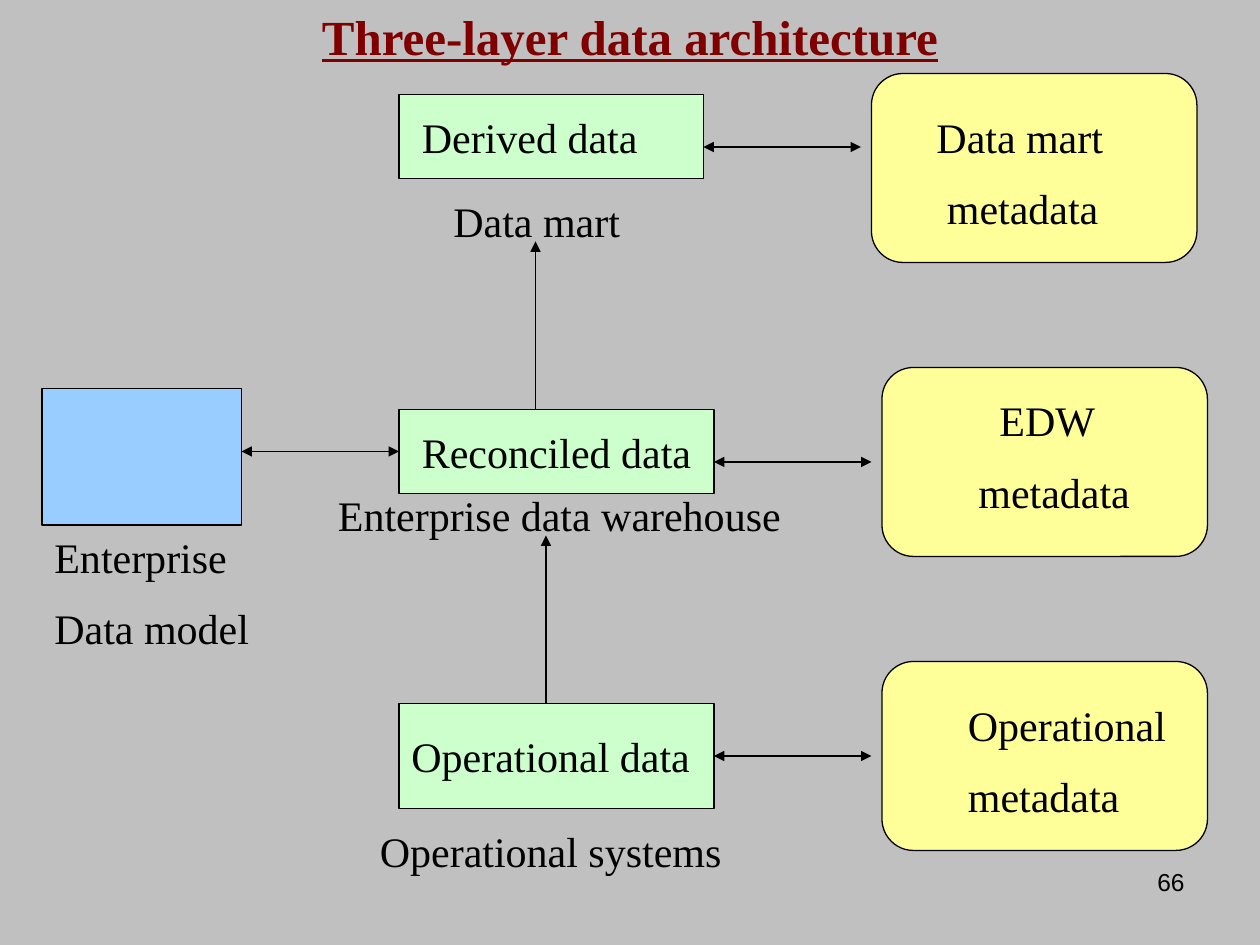
from lxml import etree
from pptx import Presentation
from pptx.dml.color import RGBColor
from pptx.enum.shapes import MSO_CONNECTOR, MSO_SHAPE
from pptx.enum.text import MSO_ANCHOR, MSO_AUTO_SIZE, PP_ALIGN
from pptx.oxml.ns import qn
from pptx.util import Inches, Pt

RECT, ROUND = MSO_SHAPE.RECTANGLE, MSO_SHAPE.ROUNDED_RECTANGLE
LINE = MSO_CONNECTOR.STRAIGHT
TOP, FIXED = MSO_ANCHOR.TOP, MSO_AUTO_SIZE.NONE
CENTER, RIGHT, LEFT = PP_ALIGN.CENTER, PP_ALIGN.RIGHT, PP_ALIGN.LEFT
SERIF, SANS = "Times New Roman", "Arial"
BLACK, GREEN, BLUE, YELLOW = "000000", "CCFFCC", "99CCFF", "FFFF99"

deck = Presentation()
deck.slide_width, deck.slide_height = Inches(10), Inches(7.5)
UNIT = deck.slide_width / 120
slide = deck.slides.add_slide(deck.slide_layouts[5])
shapes = slide.shapes


def paint(fill, tone):
    fill.solid()
    fill.fore_color.rgb = RGBColor.from_string(tone)


def write(box, lines, size=24, face=SERIF, tone=BLACK, align=LEFT):
    frame = box.text_frame
    frame.word_wrap = True
    frame.auto_size = FIXED
    frame.vertical_anchor = TOP
    for row, (text, indent) in enumerate(lines):
        para = frame.add_paragraph() if row else frame.paragraphs[0]
        para.alignment = align
        if row:
            para.space_before = Pt(12)
        if indent:
            para._p.get_or_add_pPr().set("marL", str(round(indent * UNIT)))
        run = para.add_run()
        run.text = text
        run.font.size = Pt(size)
        run.font.name = face
        paint(run.font.fill, tone)
    return run.font


paint(slide.background.fill, "C0C0C0")

title = shapes.title
title.left, title.top, title.width, title.height = [
    round(n * UNIT) for n in (5, 0, 110, 6.8)]
font = write(title, [("Three-layer data architecture", 0)], 28,
             tone="800000", align=CENTER)
font.bold = font.underline = True

boxes = {}
for key, kind, tone, *area in [
    ("derived", RECT, GREEN, 38, 9, 29, 8),
    ("reconciled", RECT, GREEN, 38, 39, 30, 8),
    ("operational", RECT, GREEN, 38, 67, 30, 10),
    ("model", RECT, BLUE, 4, 37, 19, 13),
    ("mart meta", ROUND, YELLOW, 83, 7, 31, 18),
    ("edw meta", ROUND, YELLOW, 84, 35, 31, 18),
    ("system meta", ROUND, YELLOW, 84, 63, 31, 18),
]:
    box = shapes.add_shape(kind, *[round(n * UNIT) for n in area])
    box.shadow.inherit = False
    paint(box.fill, tone)
    paint(box.line.fill, BLACK)
    box.line.width = Pt(0.75)
    boxes[key] = box

BOTH, END = ("headEnd", "tailEnd"), ("tailEnd",)
for ends, *points in [
    (END, 51, 39, 51, 23),
    (END, 52, 67, 52, 51),
    (BOTH, 68, 72, 83, 72),
    (BOTH, 68, 44, 83, 44),
    (BOTH, 67, 14, 82, 14),
    (BOTH, 23, 43, 38, 43),
]:
    link = shapes.add_connector(LINE, *[round(n * UNIT) for n in points])
    paint(link.line.fill, BLACK)
    link.line.width = Pt(0.75)
    for end in ends:
        tip = etree.SubElement(link.line._get_or_add_ln(), qn("a:" + end))
        tip.set("type", "triangle")
    etree.SubElement(link._element.spPr, qn("a:effectLst"))
    if points[1] == 72:
        link.begin_connect(boxes["operational"], 3)
    if points[1] == 43:
        link.end_connect(boxes["reconciled"], 1)

for left, top, width, *lines in [
    (39, 10, 26, ("Derived data", 0)),
    (38, 18, 29, ("Data mart", 4)),
    (39, 40, 31, ("Reconciled data", 0)),
    (38, 69, 29, ("Operational data", 0)),
    (28, 46, 50, ("Enterprise data warehouse", 3)),
    (28, 78, 49, ("Operational systems", 7)),
    (84, 10, 27, ("Data mart", 4), ("metadata", 5)),
    (85, 37, 28, ("EDW", 9), ("metadata", 7)),
    (91, 66, 29, ("Operational", 0), ("metadata", 0)),
    (4, 50, 29, ("Enterprise", 0), ("Data model", 0)),
]:
    height = 6 if len(lines) == 1 else 13.2
    area = [round(n * UNIT) for n in (left, top, width, height)]
    write(shapes.add_textbox(*area), lines)

area = [round(n * UNIT) for n in (86, 82, 28, 6.2)]
write(shapes.add_textbox(*area), [("66", 0)], 14, SANS, align=RIGHT)

deck.save("out.pptx")
